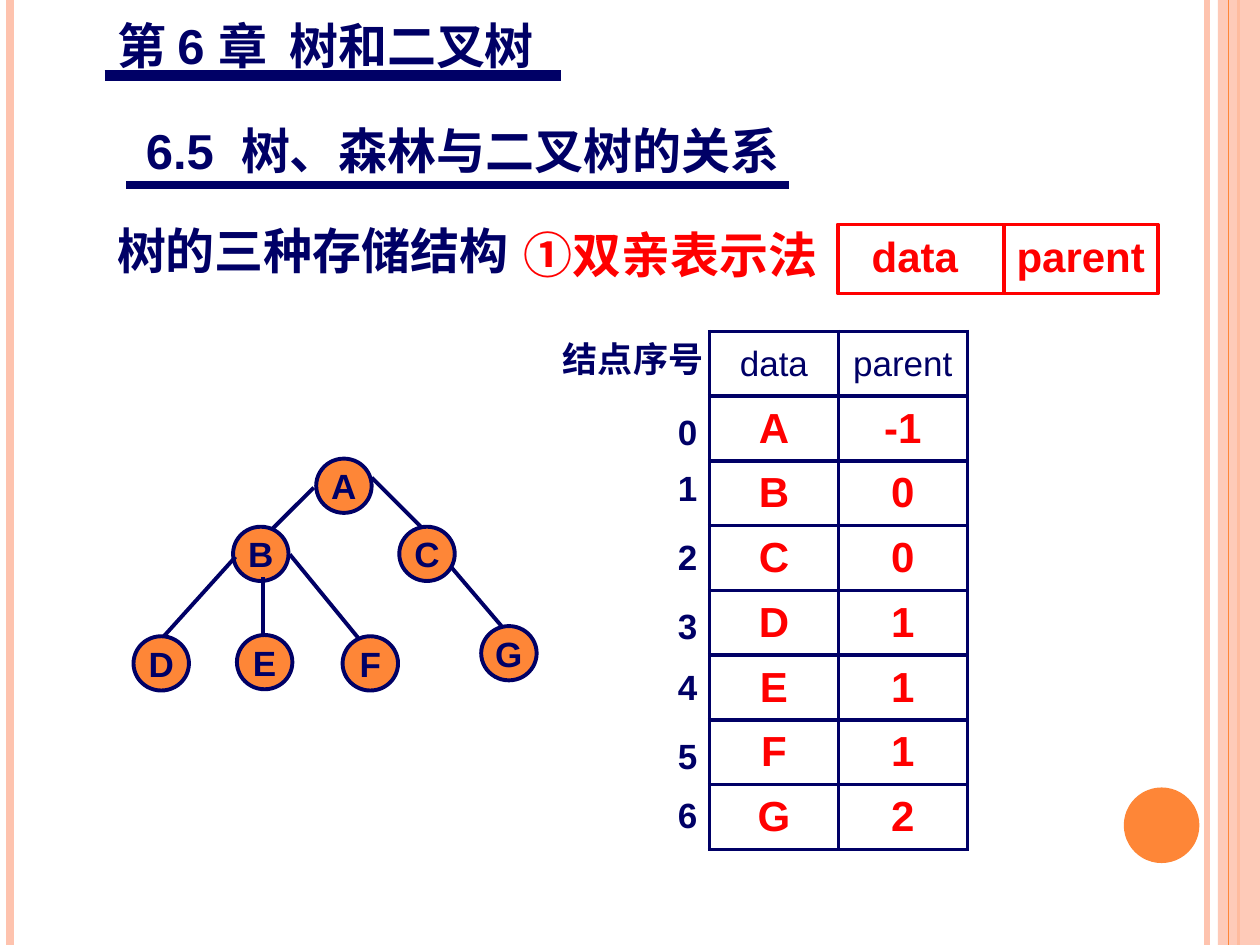
from lxml import etree
from pptx import Presentation
from pptx.dml.color import RGBColor
from pptx.enum.shapes import MSO_CONNECTOR, MSO_SHAPE
from pptx.enum.text import MSO_ANCHOR, MSO_AUTO_SIZE, PP_ALIGN
from pptx.oxml import parse_xml
from pptx.oxml.ns import qn
from pptx.util import Pt

LINE = MSO_CONNECTOR.STRAIGHT
RECT, OVAL = MSO_SHAPE.RECTANGLE, MSO_SHAPE.OVAL
TOP, MIDDLE = MSO_ANCHOR.TOP, MSO_ANCHOR.MIDDLE
LEFT, CENTER = PP_ALIGN.LEFT, PP_ALIGN.CENTER
NO_FIT = MSO_AUTO_SIZE.NONE
COLORS = {"navy": "000066", "red": "FF0000", "orange": "FE8637", "peach": "FEC3AE"}
RGB = {name: RGBColor.from_string(value) for name, value in COLORS.items()}
NS = "http://schemas.openxmlformats.org/drawingml/2006/main"


def add_line(x1, y1, x2, y2, color, width):
    c = s.shapes.add_connector(LINE, Pt(x1), Pt(y1), Pt(x2), Pt(y2))
    c.line.color.rgb = RGB[color]
    c.line.width = Pt(width)
    etree.SubElement(c._element.spPr, qn("a:effectLst"))
    return c


def write(tf, text, size, color, bold=True, align=LEFT, anchor=TOP, wrap=True):
    tf.word_wrap = wrap
    tf.vertical_anchor = anchor
    p = tf.paragraphs[0]
    p.alignment = align
    r = p.add_run()
    r.text = text
    r.font.name = "Arial"
    r.font.size = Pt(size)
    r.font.bold = bold
    r.font.color.rgb = RGB[color]
    return p


prs = Presentation()
prs.slide_width, prs.slide_height = Pt(720), Pt(540)
s = prs.slides.add_slide(prs.slide_layouts[5])

for x, color, width in [(689.8, "peach", 3), (5.8, "peach", 4.5), (707.8, "orange", 1.5)]:
    add_line(x, 0, x, 540, color, width)
band = s.shapes.add_shape(RECT, Pt(696), 0, Pt(24), Pt(540))
dot = s.shapes.add_shape(OVAL, Pt(642.2), Pt(450), Pt(43.2), Pt(43.2))
for sp, color in [(band, "peach"), (dot, "orange")]:
    sp.shadow.inherit = False
    sp.fill.solid()
    sp.fill.fore_color.rgb = RGB[color]
    sp.line.fill.background()
band_color = band._element.spPr.find(qn("a:solidFill"))[0]
etree.SubElement(band_color, qn("a:alpha"), val="87000")
add_line(702, 0, 702, 540, "orange", 0.75)

title = s.shapes.title
title.left, title.top, title.width, title.height = Pt(59.8), Pt(5), Pt(266.4), Pt(41)
title.text_frame.auto_size = NO_FIT
write(title.text_frame, "第 6 章  树和二叉树", 28, "navy")
add_line(59.8, 43.2, 320.4, 43.2, "navy", 6)
add_line(72, 105.8, 450.7, 105.8, "navy", 4.25)

labels = [
    ("6.5  树、森林与二叉树的关系", 76.3, 65.5, 391, 41, 28, "navy", True),
    ("树的三种存储结构", 59.8, 122.4, 249.8, 41, 28, "navy", True),
    ("①双亲表示法", 292.3, 116.6, 187.2, 49, 28, "red", True),
    ("data", 491, 128.2, 64.1, 36, 24, "red", False),
    ("parent", 573.8, 128.2, 87.8, 36, 24, "red", False),
    ("结点序号", 314.6, 189.4, 95, 31, 20, "navy", False),
]
index_tops = [231.1, 262.8, 302.4, 342, 376.6, 416.2, 450]
labels += [(str(i), 380.2, y, 25.2, 31, 20, "navy", False) for i, y in enumerate(index_tops)]
for text, x, y, w, h, size, color, wrap in labels:
    tb = s.shapes.add_textbox(Pt(x), Pt(y), Pt(w), Pt(h))
    p = write(tb.text_frame, text, size, color, wrap=wrap)
    if text.startswith("①"):
        p.line_spacing = 1.25

box = s.shapes.add_shape(RECT, Pt(478.8), Pt(128.2), Pt(182.9), Pt(39.6))
box.shadow.inherit = False
box.fill.background()
box.line.color.rgb = RGB["red"]
box.line.width = Pt(2)
add_line(573.8, 128.2, 573.8, 167.8, "red", 2)

nodes = {
    "A": (180.7, 262.1), "B": (133.2, 301), "C": (228.2, 301), "D": (76.3, 363.6),
    "E": (135.4, 362.9), "F": (195.8, 363.6), "G": (275, 357.8),
}
for name, (x, y) in nodes.items():
    sp = s.shapes.add_shape(OVAL, Pt(x), Pt(y), Pt(31.7), Pt(31))
    sp.shadow.inherit = False
    sp.fill.solid()
    sp.fill.fore_color.rgb = RGB["orange"]
    sp.line.color.rgb = RGB["navy"]
    sp.line.width = Pt(2.25)
    write(sp.text_frame, name, 20, "navy", align=CENTER, anchor=MIDDLE, wrap=False)

edges = [
    (179.3, 278.6, 155.5, 302.4), (134.6, 318.2, 93.6, 363.6), (212.4, 272.9, 241.2, 301.7),
    (257.8, 324, 286.6, 357.8), (165.6, 316.8, 204.5, 364.3), (150.5, 329.8, 150.5, 363.6),
]
for edge in edges:
    add_line(*edge, "navy", 2.25)

rows = [("data", "parent"), ("A", "-1"), ("B", "0"), ("C", "0"),
        ("D", "1"), ("E", "1"), ("F", "1"), ("G", "2")]
table = s.shapes.add_table(len(rows), 2, Pt(405.4), Pt(189.4), Pt(147.4), Pt(296)).table
table.first_row = table.horz_banding = False
for col in table.columns:
    col.width = Pt(73.7)
for i, values in enumerate(rows):
    table.rows[i].height = Pt(37)
    for j, value in enumerate(values):
        cell = table.cell(i, j)
        cell.margin_top = cell.margin_bottom = Pt(2)
        cell.vertical_anchor = MIDDLE
        size, color = (20, "navy") if i == 0 else (24, "red")
        write(cell.text_frame, value, size, color, bold=i > 0, align=CENTER, anchor=None)
        tcPr = cell._tc.get_or_add_tcPr()
        for side in ("lnL", "lnR", "lnT", "lnB"):
            tcPr.append(parse_xml(
                f'<a:{side} xmlns:a="{NS}" w="{Pt(2.25)}"><a:solidFill>'
                f'<a:srgbClr val="{COLORS["navy"]}"/></a:solidFill></a:{side}>'))
        cell.fill.background()

prs.save("out.pptx")
